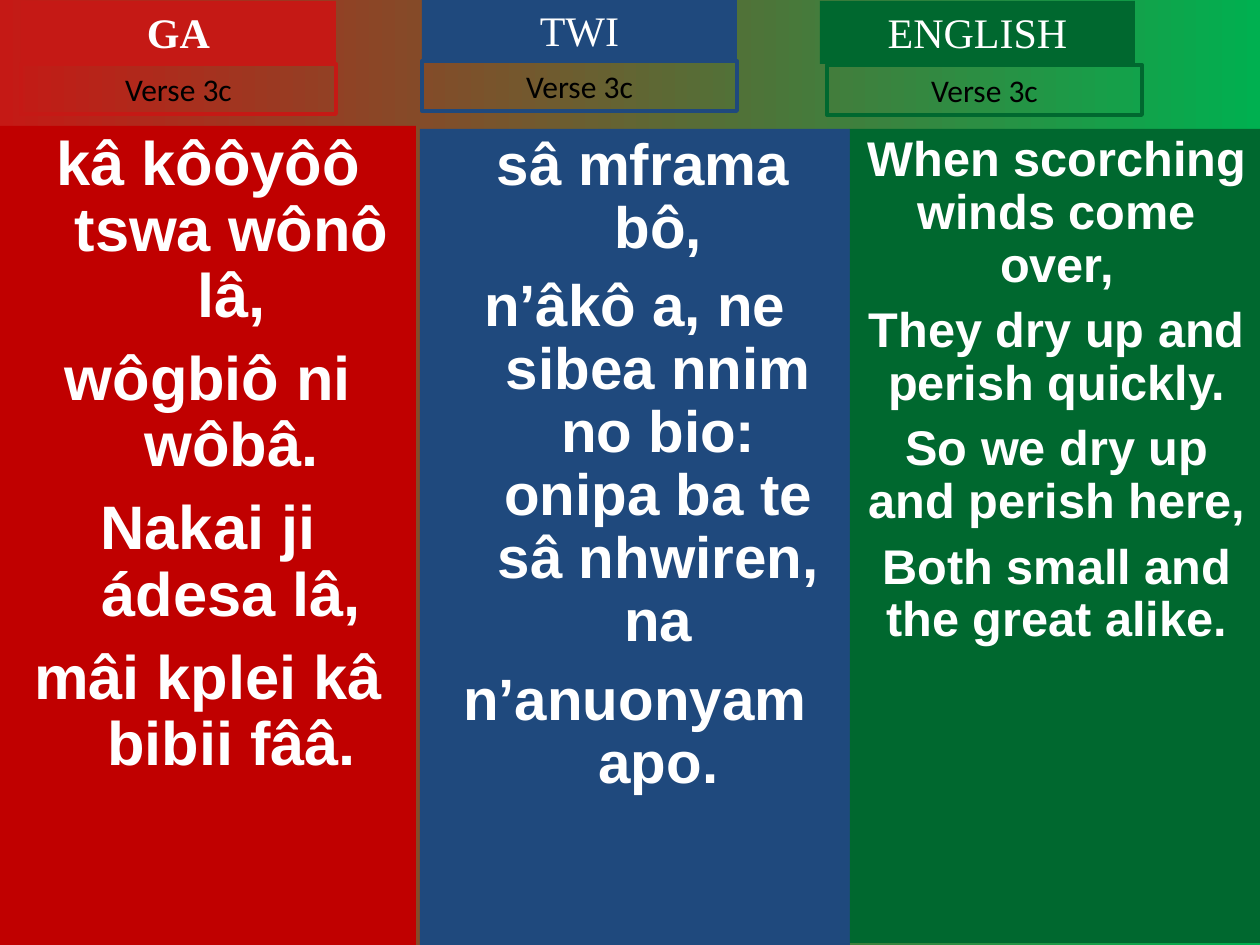
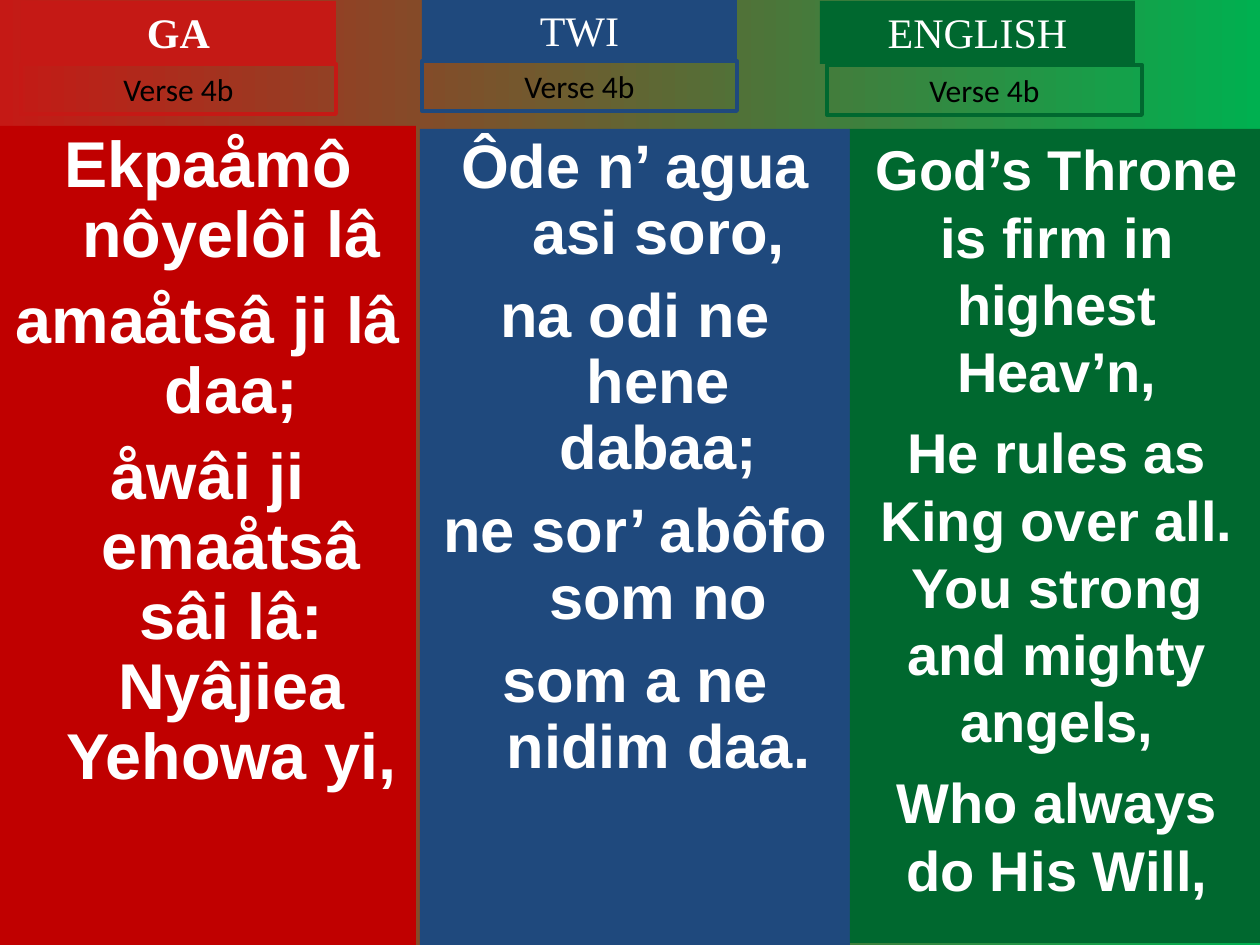
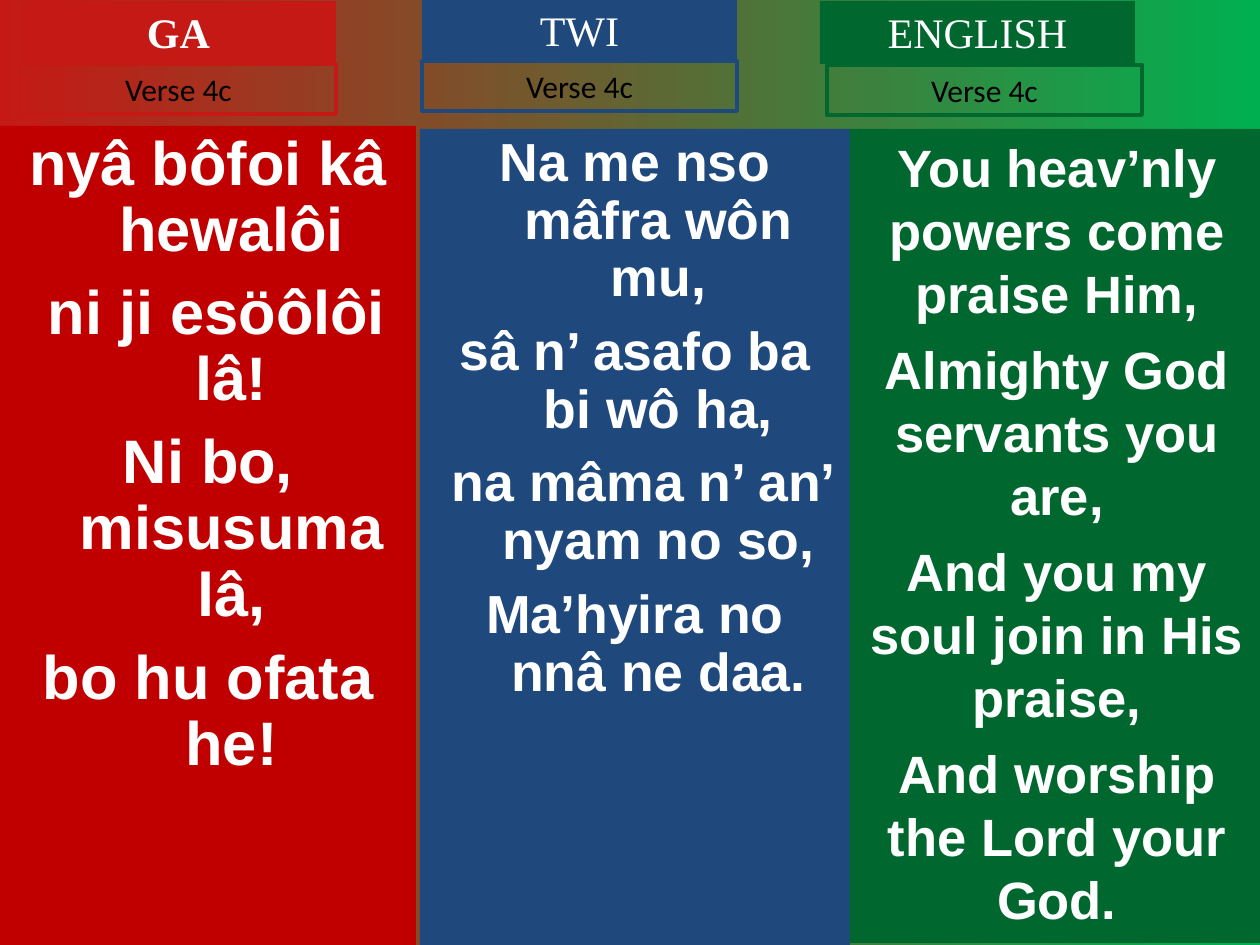
from dataclasses import dataclass

from pptx import Presentation
from pptx.dml.color import RGBColor
from pptx.enum.shapes import MSO_SHAPE as Shp
from pptx.enum.text import MSO_ANCHOR as Anchor, MSO_AUTO_SIZE as Fit, PP_ALIGN as Align
from pptx.util import Emu, Pt

EMU_PER_PX = 914400 / 126
SLIDE_W, SLIDE_H = 1260, 945
TAB_W, TITLE_H, VERSE_H = 315, 63, 50
INSET_X, INSET_Y, HANG = 13, 6, 47
COLORS = {
    "red": "C51915",
    "deep_red": "C00000",
    "blue": "1F497D",
    "green": "00682F",
    "bright_green": "00B050",
    "white": "FFFFFF",
    "black": "000000",
}


@dataclass(frozen=True)
class Box:
    """A rectangle in px."""
    x: int
    y: int
    w: int
    h: int


@dataclass(frozen=True)
class TextStyle:
    """The look of all paragraphs in one box."""
    font: str
    size: float
    color: str
    bold: bool = False
    before: float = 0
    spacing: float = 1.0
    hang: int = 0


@dataclass(frozen=True)
class Column:
    """One language: its panel, title tab and verse tab."""
    name: str
    panel: Box
    panel_color: str
    title: Box
    verse: Box
    tab_color: str
    bold: bool = False
    hang: int = 0


@dataclass(frozen=True)
class Lyrics:
    """The lines sung in one language and their type setting."""
    size: float
    before: float
    lines: tuple[str, ...]
    spacing: float = 0.9


@dataclass(frozen=True)
class Verse:
    """One slide: its label and the lyrics in column order."""
    label: str
    lyrics: tuple[Lyrics, ...]


COLUMNS = (
    Column("GA", Box(0, 126, 416, 819), "deep_red", Box(21, 1, TAB_W, TITLE_H),
           Box(21, 64, TAB_W, VERSE_H), "red", bold=True, hang=HANG),
    Column("TWI", Box(420, 129, 430, 816), "blue", Box(422, -1, TAB_W, TITLE_H),
           Box(422, 61, TAB_W, VERSE_H), "blue", hang=HANG),
    Column("ENGLISH", Box(850, 129, 414, 814), "green", Box(820, 1, TAB_W, TITLE_H),
           Box(827, 65, TAB_W, VERSE_H), "green"),
)

VERSES = (
    Verse("Verse 3c", (
        Lyrics(35.1, 9.5, ("kâ kôôyôô tswa wônô lâ,", "wôgbiô ni wôbâ.",
                           "Nakai ji ádesa lâ,", "mâi kplei kâ bibii fââ.")),
        Lyrics(33.3, 9, (" sâ mframa bô,",
                         "n’âkô a, ne sibea nnim no bio: onipa ba te sâ nhwiren, na",
                         "n’anuonyam apo.")),
        Lyrics(27.8, 7.5, ("When scorching winds come over,",
                           "They dry up and perish quickly.",
                           "So we dry up and perish here,",
                           "Both small and the great alike.")),
    )),
    Verse("Verse 4b", (
        Lyrics(37, 9.2, ("Ekpaåmô nôyelôi lâ", "amaåtsâ ji lâ daa;",
                         "åwâi ji emaåtsâ sâi lâ: Nyâjiea Yehowa yi,")),
        Lyrics(35.1, 9.5, ("Ôde n’ agua asi soro,", "na odi ne hene dabaa;",
                           "ne sor’ abôfo som no", "som a ne nidim daa.")),
        Lyrics(32, 8, ("God’s Throne is firm in highest Heav’n,",
                       "He rules as King over all. You strong and mighty angels,",
                       "Who always do His Will,"), spacing=1.0),
    )),
    Verse("Verse 4c", (
        Lyrics(35.1, 9.5, ("nyâ bôfoi kâ hewalôi", " ni ji esöôlôi lâ!",
                           "Ni bo, misusuma lâ,", "bo hu ofata he!")),
        Lyrics(30.6, 9, ("Na me nso mâfra wôn mu,", "sâ n’ asafo ba bi wô ha,",
                         " na mâma n’ an’ nyam no so,", "Ma’hyira no nnâ ne daa.")),
        Lyrics(30, 7.5, ("You heav’nly powers come praise Him,",
                         "Almighty God servants you are,",
                         "And you my soul join in His praise,",
                         "And worship the Lord your God."), spacing=1.0),
    )),
)


def px(n: int) -> Emu:
    """Turn px into EMU."""
    return Emu(round(n * EMU_PER_PX))


def rgb(name: str) -> RGBColor:
    """Look up a named colour."""
    return RGBColor.from_string(COLORS[name])


def add_box(s, box: Box, lines: tuple[str, ...], style: TextStyle,
            fill: str = "", line: str = "", fit: bool = True) -> None:
    """Draw a rectangle holding centred paragraphs."""
    sp = s.shapes.add_shape(Shp.RECTANGLE, px(box.x), px(box.y), px(box.w), px(box.h))
    sp.shadow.inherit = False
    if fill:
        sp.fill.solid()
        sp.fill.fore_color.rgb = rgb(fill)
    else:
        sp.fill.background()
    if line:
        sp.line.color.rgb = rgb(line)
        sp.line.width = Pt(2.25)
    else:
        sp.line.fill.background()
    tf = sp.text_frame
    tf.word_wrap = True
    tf.vertical_anchor = Anchor.TOP
    tf.auto_size = Fit.SHAPE_TO_FIT_TEXT if fit else Fit.NONE
    tf.margin_left = tf.margin_right = px(INSET_X)
    tf.margin_top = tf.margin_bottom = px(INSET_Y)
    for i, text in enumerate(lines):
        p = tf.add_paragraph() if i else tf.paragraphs[0]
        p.alignment = Align.CENTER
        p.line_spacing = style.spacing
        p.space_before = Pt(style.before if i else 0)
        if style.hang:
            pPr = p._p.get_or_add_pPr()
            pPr.set("marL", str(px(style.hang)))
            pPr.set("indent", str(-px(style.hang)))
        r = p.add_run()
        r.text = text
        r.font.name = style.font
        r.font.size = Pt(style.size)
        r.font.bold = style.bold
        r.font.color.rgb = rgb(style.color)


def add_column(s, col: Column, lyrics: Lyrics, label: str) -> None:
    """Draw one language with its panel and two tabs."""
    body = TextStyle("Arial", lyrics.size, "white", True, lyrics.before,
                     lyrics.spacing, col.hang)
    title = TextStyle("Times New Roman", 24, "white", col.bold)
    add_box(s, col.panel, lyrics.lines, body, fill=col.panel_color, fit=False)
    add_box(s, col.title, (col.name,), title, fill=col.tab_color)
    add_box(s, col.verse, (label,), TextStyle("Calibri", 18, "black"), line=col.tab_color)


def set_background(master) -> None:
    """Give all slides the red to green gradient."""
    fill = master.background.fill
    fill.gradient()
    fill.gradient_angle = 0
    for stop, pos, name in zip(fill.gradient_stops, (0, 1), ("red", "bright_green")):
        stop.position = pos
        stop.color.rgb = rgb(name)


def main() -> None:
    """Build and save the presentation."""
    prs = Presentation()
    prs.slide_width, prs.slide_height = px(SLIDE_W), px(SLIDE_H)
    set_background(prs.slide_master)
    for verse in VERSES:
        s = prs.slides.add_slide(prs.slide_layouts[6])
        for col, lyrics in zip(COLUMNS, verse.lyrics):
            add_column(s, col, lyrics, verse.label)
    prs.save("out.pptx")


if __name__ == "__main__":
    main()
